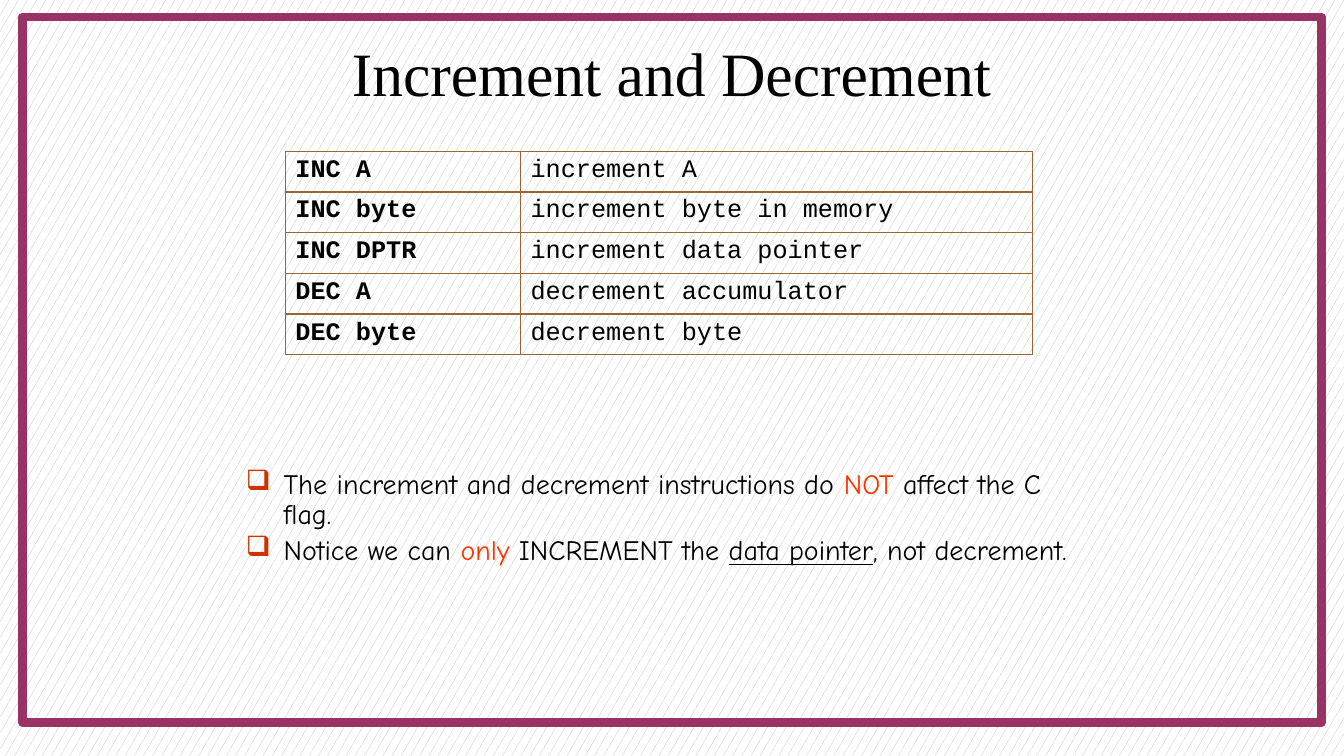
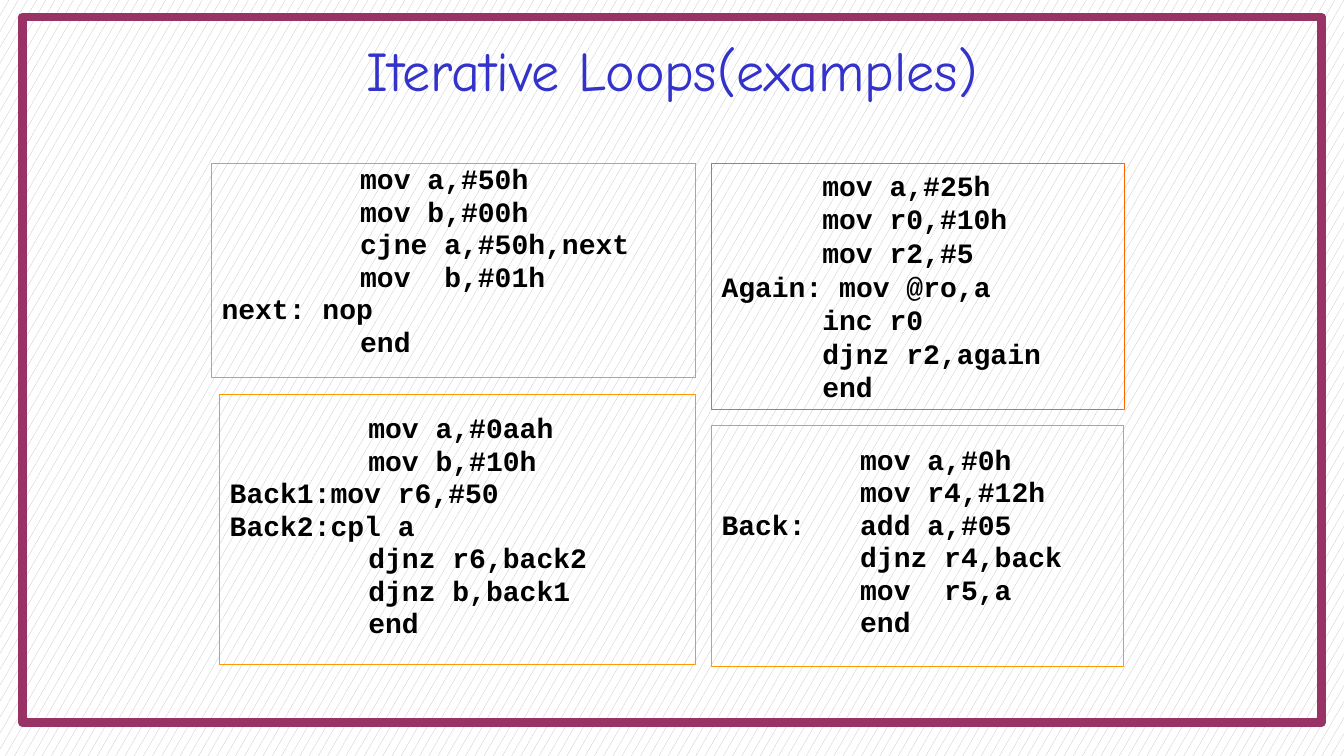
from dataclasses import dataclass
from pptx import Presentation
from pptx.dml.color import RGBColor
from pptx.enum.dml import MSO_PATTERN
from pptx.enum.shapes import MSO_SHAPE
from pptx.enum.text import MSO_ANCHOR, PP_ALIGN
from pptx.oxml import parse_xml
from pptx.oxml.ns import nsdecls
from pptx.util import Pt


@dataclass(frozen=True)
class Theme:
    paper: str = "FFFFFF"
    confetti: str = "B2B2B2"
    frame: str = "993366"
    ink: str = "000000"
    heading: str = "3333CC"
    accent: str = "FF3300"
    bullet: str = "CC3300"
    grid: str = "996633"
    amber: str = "FF9900"
    orange: str = "FF6600"
    serif: str = "Times New Roman"
    hand: str = "Comic Neue"
    mono: str = "Courier New"
    title_large: int = 44
    title: int = 40
    body: int = 20
    cell: int = 18
    indent: int = 27
    tab: int = 72


THEME = Theme()


def color(value):
    return RGBColor.from_string(value)


def points(*values):
    return [Pt(value) for value in values]


def write_text(text_frame, paragraphs, *, font, size, ink=THEME.ink, bold=False,
               align=PP_ALIGN.LEFT, line_spacing=1.0, space_before=0,
               hanging=0, bullet=None, top_inset=3.6):
    text_frame.word_wrap = True
    text_frame.vertical_anchor = MSO_ANCHOR.TOP
    text_frame.margin_top = Pt(top_inset)
    for index, spans in enumerate(paragraphs):
        para = text_frame.add_paragraph() if index else text_frame.paragraphs[0]
        para.alignment = align
        para.line_spacing = line_spacing
        para.space_before = Pt(space_before if index else 0)
        properties = para._p.get_or_add_pPr()
        if hanging:
            properties.set("marL", str(Pt(hanging)))
            properties.set("indent", str(-Pt(hanging)))
        if bullet:
            properties.append(parse_xml(
                f'<a:buClr {nsdecls("a")}><a:srgbClr val="{THEME.bullet}"/></a:buClr>'))
            properties.append(parse_xml(f'<a:buChar {nsdecls("a")} char="{bullet}"/>'))
        for span in [(spans, {})] if isinstance(spans, str) else spans:
            text, changes = span
            run = para.add_run()
            run.text = text
            run.font.name = font
            run.font.size = Pt(size)
            run.font.bold = bold
            run.font.color.rgb = color(changes.get("ink", ink))
            if changes.get("underline"):
                run.font.underline = True


def add_text(page, area, paragraphs, **text_format):
    box = page.shapes.add_textbox(*points(*area))
    write_text(box.text_frame, paragraphs, **text_format)
    return box


def add_page(deck):
    page = deck.slides.add_slide(deck.slide_layouts[6])
    frame = page.shapes.add_shape(MSO_SHAPE.RECTANGLE, *points(16, 12.2, 928, 504))
    frame.shadow.inherit = False
    frame.fill.background()
    frame.line.color.rgb = color(THEME.frame)
    frame.line.width = Pt(6)
    return page


def add_title(page, area, text, **text_format):
    add_text(page, area, [text], align=PP_ALIGN.CENTER, **text_format)


def style_cell(cell):
    properties = cell._tc.get_or_add_tcPr()
    for side in ("lnL", "lnR", "lnT", "lnB"):
        properties.append(parse_xml(
            f'<a:{side} {nsdecls("a")} w="{Pt(1)}"><a:solidFill>'
            f'<a:srgbClr val="{THEME.grid}"/></a:solidFill></a:{side}>'))
    cell.fill.background()


def add_instruction_table(page, area, rows, widths):
    table = page.shapes.add_table(len(rows), len(widths), *points(*area)).table
    table.first_row = table.horz_banding = False
    for column, width in zip(table.columns, widths):
        column.width = Pt(width)
    for row_index, row in enumerate(rows):
        table.rows[row_index].height = Pt(area[3] / len(rows))
        for column_index, text in enumerate(row):
            cell = table.cell(row_index, column_index)
            style_cell(cell)
            write_text(cell.text_frame, [text], font=THEME.mono,
                       size=THEME.cell, bold=column_index == 0)


def add_code_box(page, area, code, outline, **text_format):
    box = add_text(page, area, code.split("\n"), font=THEME.mono,
                   size=THEME.body, bold=True, **text_format)
    box.line.color.rgb = color(outline)
    box.line.width = Pt(0.75)


def build_increment_page(deck):
    page = add_page(deck)
    add_title(page, (48, 21.6, 864, 90), "Increment and Decrement",
              font=THEME.serif, size=THEME.title_large)
    notes = [
        [("The increment and decrement instructions do ", {}),
         ("NOT", {"ink": THEME.accent}),
         (" affect the C flag.", {})],
        [("Notice we can ", {}),
         ("only", {"ink": THEME.accent}),
         (" INCREMENT the ", {}),
         ("data pointer", {"underline": True}),
         (", not decrement.", {})],
    ]
    add_text(page, (168.5, 332.6, 612, 102), notes, font=THEME.hand,
             size=THEME.body, line_spacing=0.9, space_before=4,
             hanging=THEME.indent, bullet="❑")
    rows = [
        ("INC A", "increment A"),
        ("INC byte", "increment byte in memory"),
        ("INC DPTR", "increment data pointer"),
        ("DEC A", "decrement accumulator"),
        ("DEC byte", "decrement byte"),
    ]
    add_instruction_table(page, (203.8, 108, 534, 145.5), rows, (168, 366))


def build_loops_page(deck):
    page = add_page(deck)
    add_title(page, (156, 21.6, 648, 50), "Iterative Loops(examples)",
              font=THEME.hand, size=THEME.title, ink=THEME.heading)
    top, left_edge_end, gap = 116.6, 496.8, 11.5
    right_start = left_edge_end + gap
    compact = {"line_spacing": 0.8, "space_before": 4,
               "hanging": THEME.indent + THEME.tab}
    lowered = {**compact, "top_inset": 16.6}
    compare = "\tmov a,#50h\n\tmov b,#00h\n\tcjne a,#50h,next\n\tmov  b,#01h\nnext: nop\n\tend"
    fill = ("\tmov a,#25h\n\tmov r0,#10h\n\tmov r2,#5\nAgain: mov @ro,a\n"
            "\tinc r0\n\tdjnz r2,again\n\tend")
    nested = ("\tmov a,#0aah\n\tmov b,#10h\nBack1:mov r6,#50\nBack2:cpl a\n"
              "\tdjnz r6,back2\n\tdjnz b,back1\n\tend")
    repeat = "\tmov a,#0h\n\tmov r4,#12h\nBack:\tadd a,#05\n\tdjnz r4,back\n\tmov  r5,a\n\tend"
    left_column = [(345.6, 153.4, compare, THEME.amber, compact),
                   (339.8, 193, nested, THEME.amber, lowered)]
    right_column = [(295.2, 175.7, fill, THEME.orange, {"hanging": THEME.tab}),
                    (294.5, 172, repeat, THEME.amber, lowered)]
    for column, is_left in ((left_column, True), (right_column, False)):
        y = top
        for width, height, code, outline, text_format in column:
            x = left_edge_end - width if is_left else right_start
            add_code_box(page, (x, y, width, height), code, outline, **text_format)
            y += height + gap


def main():
    deck = Presentation()
    deck.slide_width, deck.slide_height = points(960, 540)
    backdrop = deck.slide_master.background.fill
    backdrop.patterned()
    backdrop.pattern = MSO_PATTERN.SMALL_CONFETTI
    backdrop.fore_color.rgb = color(THEME.confetti)
    backdrop.back_color.rgb = color(THEME.paper)
    build_increment_page(deck)
    build_loops_page(deck)
    deck.save("out.pptx")


if __name__ == "__main__":
    main()
